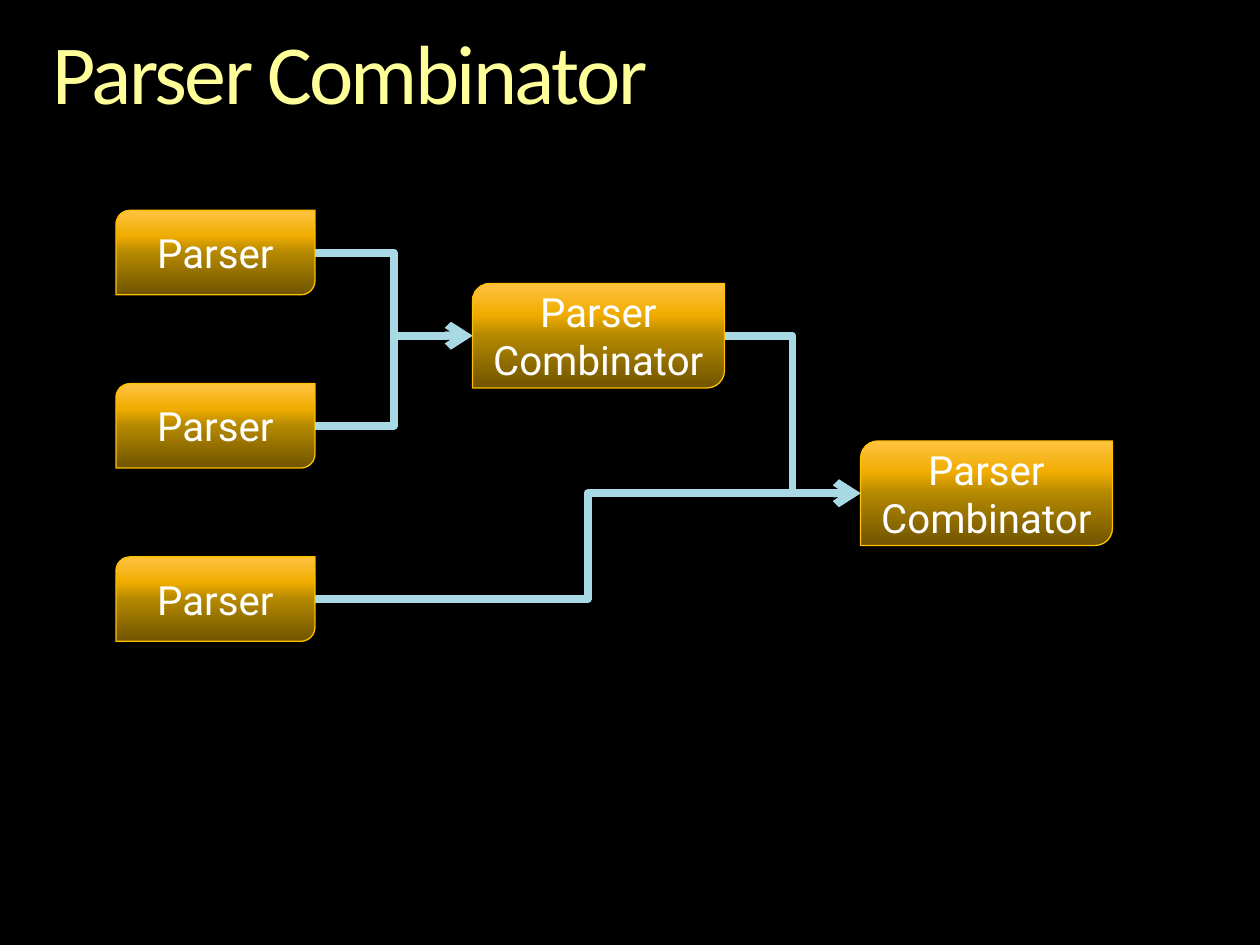
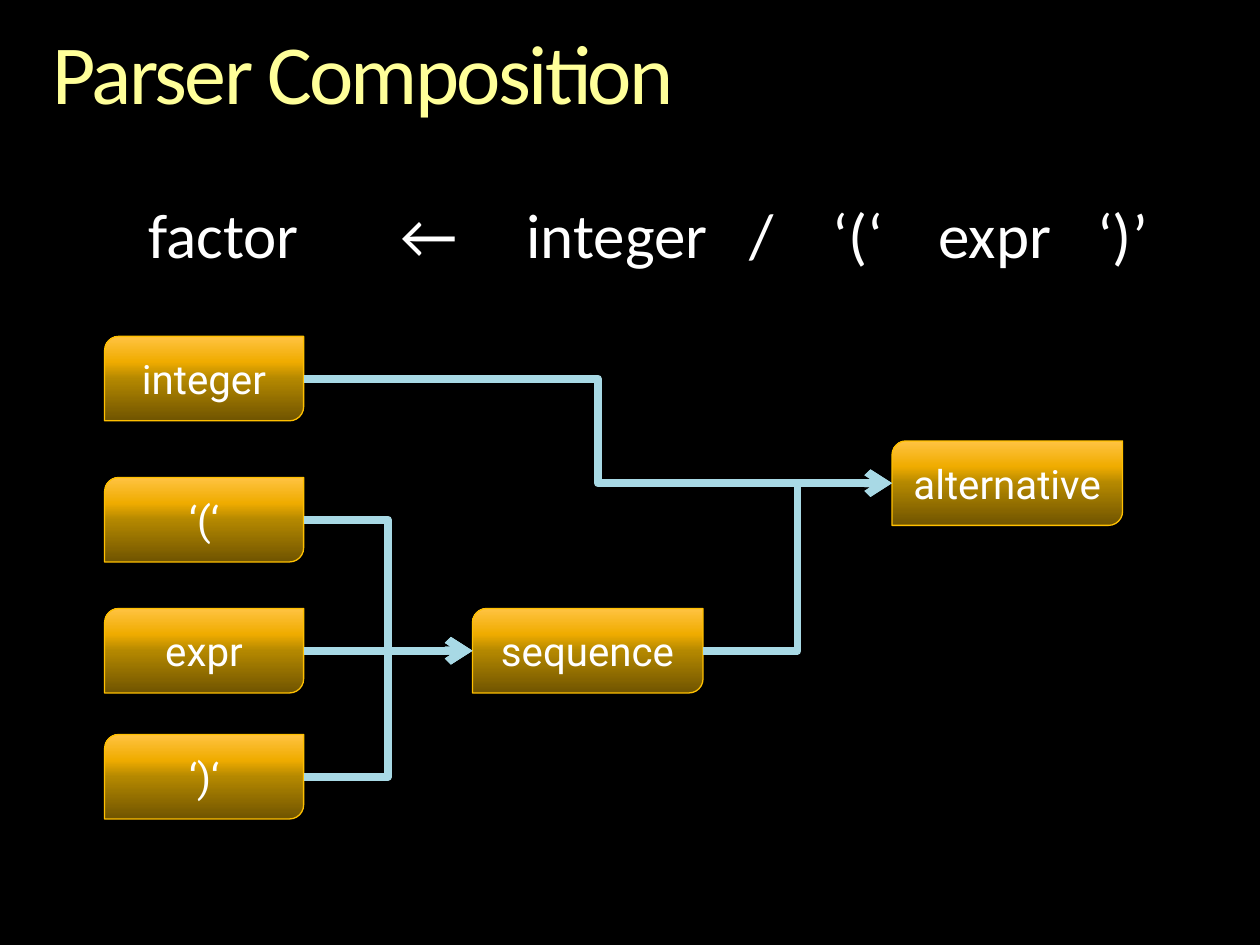
from lxml import etree
from pptx import Presentation
from pptx.dml.color import RGBColor
from pptx.enum import shapes, text
from pptx.oxml import ns
from pptx.util import Inches, Pt

BACKGROUND = "000000"
TITLE_COLOUR = "FFFF99"
TEXT_COLOUR = "FFFFFF"
BOX_LINE = "FFC000"
ARROW_COLOUR = "A8D9E5"
BOX_GRADIENT = [(0, "705400"), (50, "B48800"), (70, "F0AC00"), (100, "FFC342")]

INPUT_WIDTH, BOX_HEIGHT = 1.58, 0.67
PAIR_SIZE = (2, 0.83)
OPERATOR_SIZE = (1.83, BOX_HEIGHT)
GRAMMAR = ["factor", "←", "integer", "/", "‘(‘", "expr", "‘)’"]
GRAMMAR_TABS = [2, 3, 4.77, 5.43, 6.27, 7.53]

combinator_boxes = {
    f"parser {row + 1}": ("Parser", 0.92, 1.67 + 1.375 * row, INPUT_WIDTH, BOX_HEIGHT)
    for row in range(3)
}
combinator_boxes["inner"] = ("Parser\nCombinator", 3.75, 2.25, *PAIR_SIZE)
combinator_boxes["outer"] = ("Parser\nCombinator", 6.83, 3.5, *PAIR_SIZE)

composition_boxes = {
    name: (name, 0.83, top, INPUT_WIDTH, BOX_HEIGHT)
    for name, top in [("integer", 2.67), ("‘(‘", 3.79), ("expr", 4.83), ("‘)‘", 5.83)]
}
composition_boxes["sequence"] = ("sequence", 3.75, 4.83, *OPERATOR_SIZE)
composition_boxes["alternative"] = ("alternative", 7.08, 3.5, *OPERATOR_SIZE)

diagrams = [
    ("Parser Combinator", combinator_boxes,
     [("parser 1", "inner"), ("parser 2", "inner"),
      ("parser 3", "outer"), ("inner", "outer")]),
    ("Parser Composition", composition_boxes,
     [("‘(‘", "sequence"), ("expr", "sequence"), ("‘)‘", "sequence"),
      ("integer", "alternative"), ("sequence", "alternative")]),
]


def colour(value):
    return RGBColor.from_string(value)


def add_run(paragraph, words, font_name, size, font_colour):
    run = paragraph.add_run()
    run.text = words
    run.font.name = font_name
    run.font.size = Pt(size)
    run.font.color.rgb = colour(font_colour)
    return run


presentation = Presentation()
presentation.slide_width = Inches(10)
presentation.slide_height = Inches(7.5)

for title, boxes, links in diagrams:
    slide = presentation.slides.add_slide(presentation.slide_layouts[6])
    slide.background.fill.solid()
    slide.background.fill.fore_color.rgb = colour(BACKGROUND)

    title_box = slide.shapes.add_textbox(Inches(0.42), Inches(0.25), Inches(9.17), Inches(0.73))
    frame = title_box.text_frame
    frame.word_wrap = True
    frame.margin_left = frame.margin_right = frame.margin_top = frame.margin_bottom = 0
    paragraph = frame.paragraphs[0]
    paragraph.line_spacing = 0.9
    run = add_run(paragraph, title, "Calibri", 48, TITLE_COLOUR)
    run.font._element.set("spc", "-150")

    for label, left, top, width, height in boxes.values():
        shape = slide.shapes.add_shape(
            shapes.MSO_SHAPE.ROUND_2_DIAG_RECTANGLE,
            Inches(left), Inches(top), Inches(width), Inches(height))
        shape.shadow.inherit = False
        shape.line.color.rgb = colour(BOX_LINE)
        shape.line.width = Pt(0.75)
        shape.fill.gradient()
        shape.fill.gradient_angle = 90
        stops = shape._element.spPr.find(".//" + ns.qn("a:gsLst"))
        for stop in list(stops):
            stops.remove(stop)
        for position, value in BOX_GRADIENT:
            stop = etree.SubElement(stops, ns.qn("a:gs"), pos=str(position * 1000))
            etree.SubElement(stop, ns.qn("a:srgbClr"), val=value)

        frame = shape.text_frame
        frame.word_wrap = True
        frame.vertical_anchor = text.MSO_ANCHOR.MIDDLE
        for index, line in enumerate(label.split("\n")):
            paragraph = frame.add_paragraph() if index else frame.paragraphs[0]
            paragraph.alignment = text.PP_ALIGN.CENTER
            add_run(paragraph, line, "Roboto", 23, TEXT_COLOUR)

    for source, target in links:
        _, left, top, width, height = boxes[source]
        _, target_left, target_top, _, target_height = boxes[target]
        connector = slide.shapes.add_connector(
            shapes.MSO_CONNECTOR.ELBOW,
            Inches(left + width), Inches(top + height / 2),
            Inches(target_left), Inches(target_top + target_height / 2))
        connector.line.color.rgb = colour(ARROW_COLOUR)
        connector.line.width = Pt(4.5)
        etree.SubElement(connector.line._get_or_add_ln(), ns.qn("a:tailEnd"), type="arrow")
        etree.SubElement(connector._element.spPr, ns.qn("a:effectLst"))

grammar_box = slide.shapes.add_textbox(Inches(1.08), Inches(1.5), Inches(8.18), Inches(0.71))
grammar_box.text_frame.word_wrap = True
paragraph = grammar_box.text_frame.paragraphs[0]
tabs = etree.SubElement(paragraph._p.get_or_add_pPr(), ns.qn("a:tabLst"))
for position in GRAMMAR_TABS:
    etree.SubElement(tabs, ns.qn("a:tab"), pos=str(Inches(position)), algn="l")
add_run(paragraph, "\t".join(GRAMMAR), "Calibri", 36, TEXT_COLOUR)

presentation.save("out.pptx")
